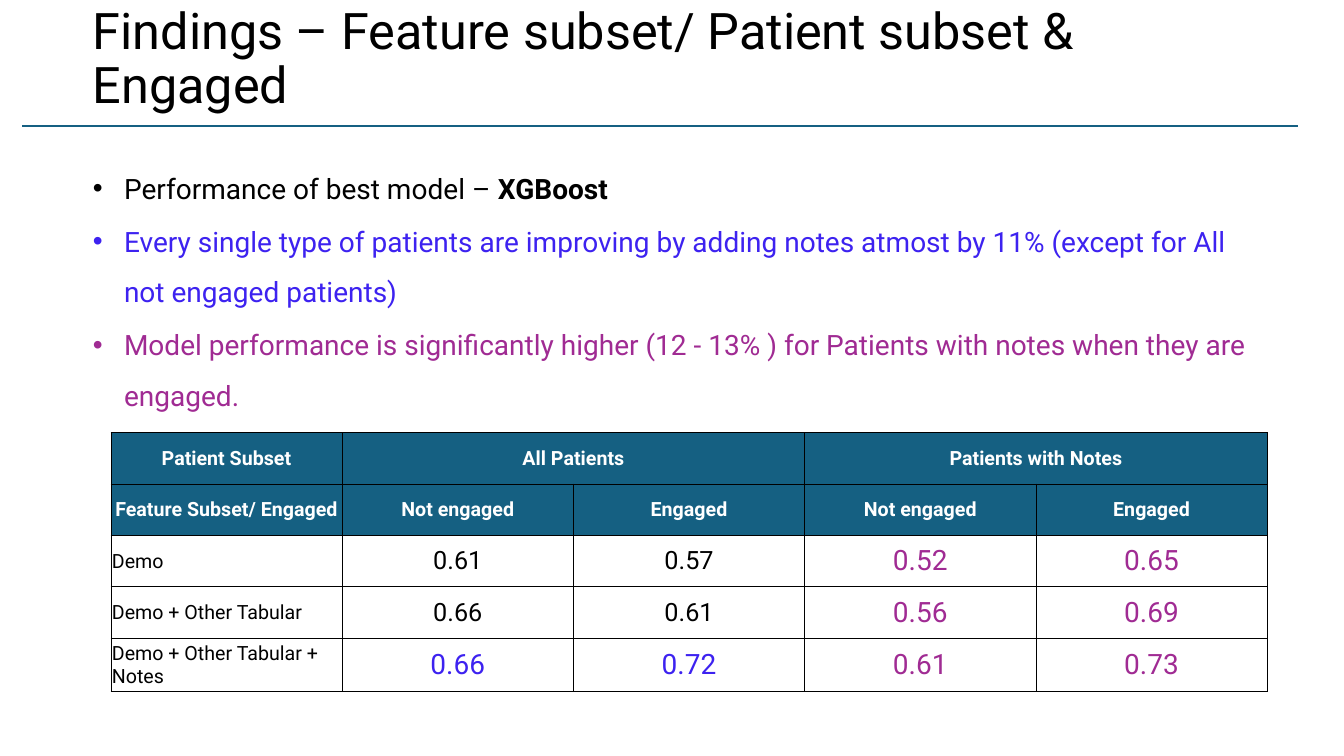
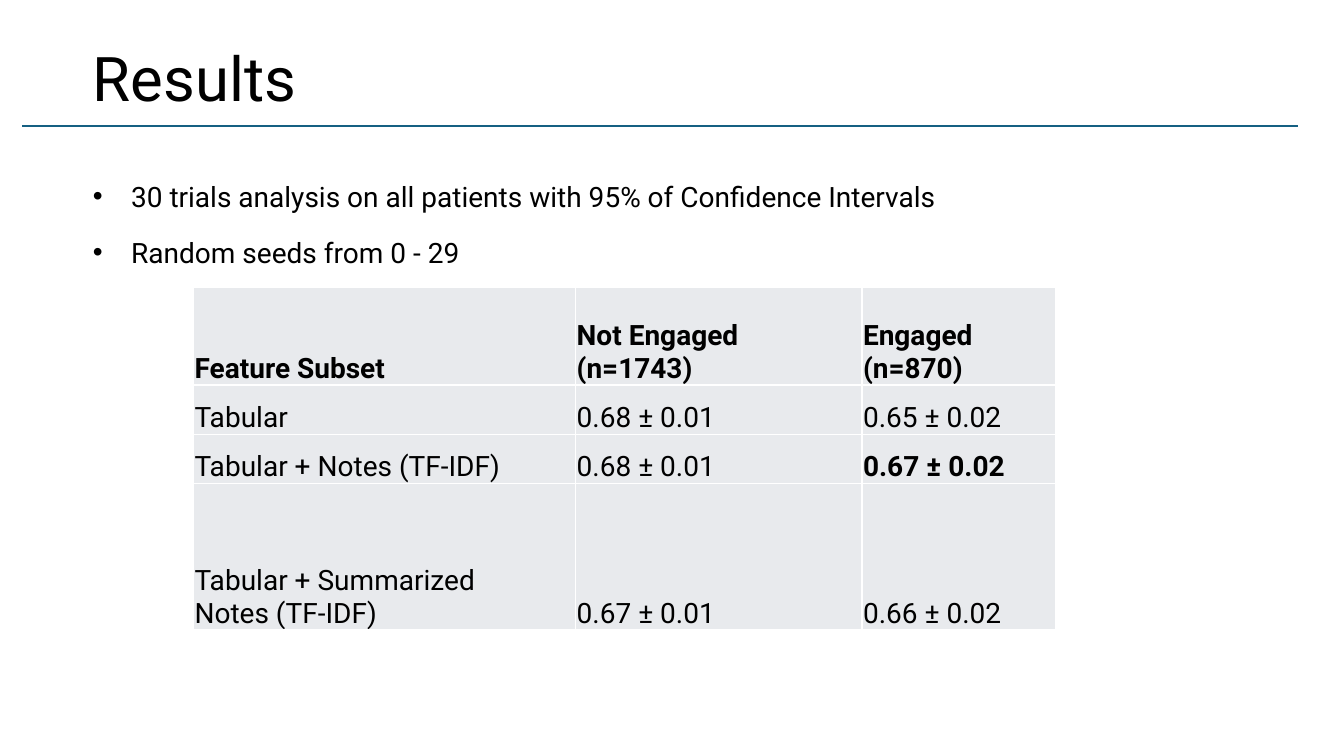
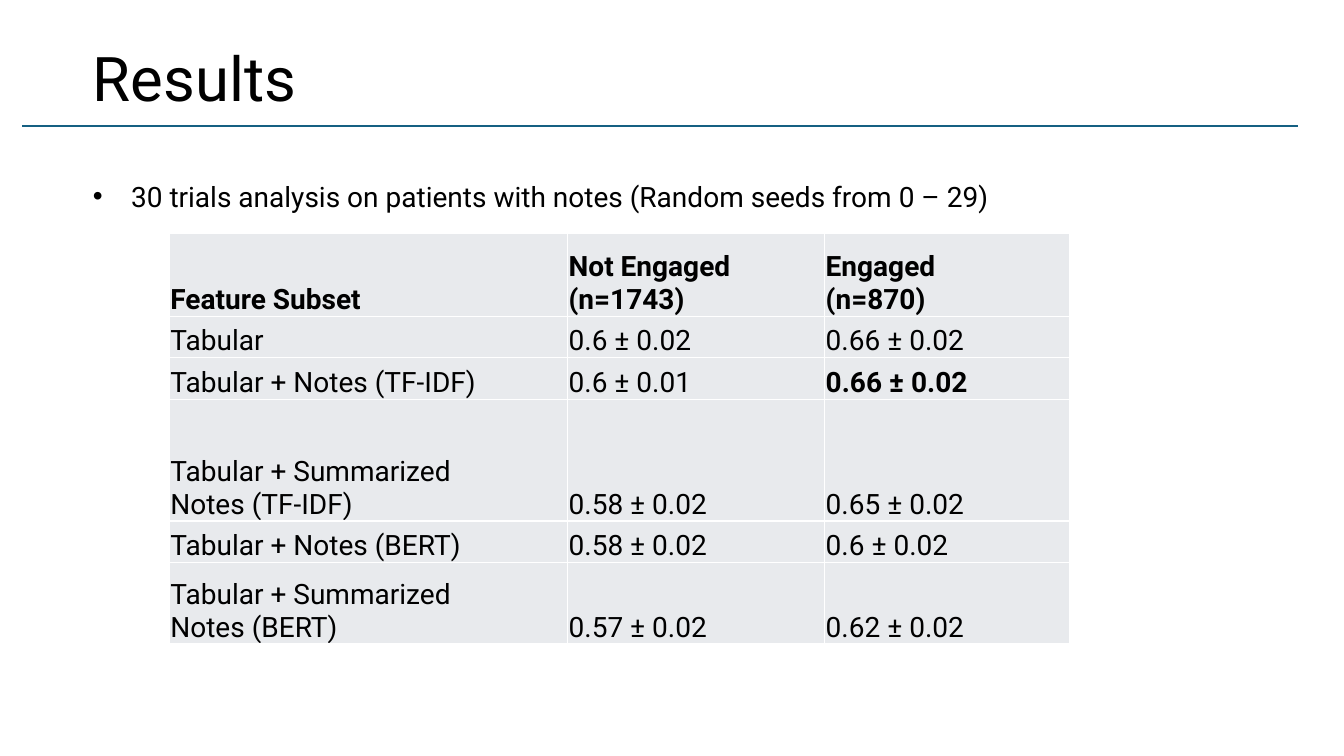
from pptx import Presentation
from pptx.dml.color import RGBColor
from pptx.enum.shapes import MSO_CONNECTOR as Connector
from pptx.enum.text import MSO_ANCHOR as Anchor, MSO_AUTO_SIZE as AutoSize, PP_ALIGN as Align
from pptx.oxml.ns import qn
from pptx.util import Inches, Pt
from lxml.etree import SubElement

FONT = "Roboto"
BLACK, WHITE = "000000", "FFFFFF"
TEAL, GREY = "156082", "E8EAED"
BLUE, PURPLE = "3D22F0", "A02B93"
TITLE_BOX = (0.82, 0.19, 11.25, 1)
RULE_LEFT, RULE_RIGHT, RULE_Y = 0.22, 12.87, 1.25


def rgb(color):
    return RGBColor.from_string(color)


def place(shape, box):
    shape.left, shape.top, shape.width, shape.height = map(Inches, box)


def write(paragraph, text, size=20, color=BLACK, bold=False, align=Align.LEFT):
    """Append text to a paragraph, turning newlines into line breaks."""
    paragraph.alignment = align
    for index, line in enumerate(text.split("\n")):
        if index:
            paragraph.add_line_break()
        run = paragraph.add_run()
        run.text = line
        run.font.name, run.font.size, run.font.bold = FONT, Pt(size), bold
        run.font.color.rgb = rgb(color)


def set_bullet(paragraph, indent):
    properties = paragraph._p.get_or_add_pPr()
    properties.set("marL", str(Inches(indent)))
    properties.set("indent", str(-Inches(indent)))
    SubElement(properties, qn("a:buFont"), typeface="Arial")
    SubElement(properties, qn("a:buChar"), char="•")


def add_titled_slide(deck, title, size=44):
    slide = deck.slides.add_slide(deck.slide_layouts[1])
    heading = slide.shapes.title
    place(heading, TITLE_BOX)
    frame = heading.text_frame
    frame.auto_size, frame.vertical_anchor = AutoSize.NONE, Anchor.BOTTOM
    frame.paragraphs[0].line_spacing = 0.9
    write(frame.paragraphs[0], title, size=size)

    rule = slide.shapes.add_connector(
        Connector.STRAIGHT, Inches(RULE_LEFT), Inches(RULE_Y), Inches(RULE_RIGHT), Inches(RULE_Y))
    rule.line.color.rgb = rgb(TEAL)
    rule.line.width = Pt(1.5)
    SubElement(rule._element.spPr, qn("a:effectLst"))
    return slide


def fill_bullets(slide, box, bullets, indent=0.38, gap=4):
    """Each bullet is a list of (text, format) runs."""
    body = slide.placeholders[1]
    place(body, box)
    frame = body.text_frame
    frame.auto_size, frame.vertical_anchor = AutoSize.NONE, Anchor.TOP
    for index, runs in enumerate(bullets):
        paragraph = frame.add_paragraph() if index else frame.paragraphs[0]
        set_bullet(paragraph, indent)
        paragraph.line_spacing = 1.5
        paragraph.space_before, paragraph.space_after = Pt(0), Pt(gap)
        for text, style in runs:
            write(paragraph, text, **style)


def set_borders(cell, color, width):
    properties = cell._tc.get_or_add_tcPr()
    for side in ("a:lnL", "a:lnR", "a:lnT", "a:lnB"):
        line = SubElement(properties, qn(side), w=str(Pt(width)))
        SubElement(SubElement(line, qn("a:solidFill")), qn("a:srgbClr"), val=color)


def add_grid(slide, left, top, columns, rows, border, border_width):
    """Add a plain bordered table with the given column widths and row heights."""
    frame = slide.shapes.add_table(
        len(rows), len(columns), Inches(left), Inches(top), Inches(sum(columns)), Inches(sum(rows)))
    table = frame.table
    table.first_row = table.horz_banding = False
    for column, width in zip(table.columns, columns):
        column.width = Inches(width)
    for row, height in zip(table.rows, rows):
        row.height = Inches(height)
    for cell in table.iter_cells():
        set_borders(cell, border, border_width)
        cell.margin_left = cell.margin_right = cell.margin_top = Inches(0.01)
        cell.margin_bottom = 0
    return table


def fill_cell(cell, text, fill=None, anchor=Anchor.MIDDLE, **style):
    cell.vertical_anchor = anchor
    if fill:
        cell.fill.solid()
        cell.fill.fore_color.rgb = rgb(fill)
    else:
        cell.fill.background()
    write(cell.text_frame.paragraphs[0], text, **style)


def add_subset_table(slide, left, top, width):
    headers = [
        ["Patient Subset", "All Patients", "", "Patients with Notes", ""],
        ["Feature Subset/ Engaged", "Not engaged", "Engaged", "Not engaged", "Engaged"],
    ]
    scores = [
        ["Demo", "0.61", "0.57", "0.52", "0.65"],
        ["Demo + Other Tabular", "0.66", "0.61", "0.56", "0.69"],
        ["Demo + Other Tabular + Notes", "0.66", "0.72", "0.61", "0.73"],
    ]
    table = add_grid(slide, left, top, [width / 5] * 5, [0.51] * 4 + [0.53], BLACK, 0.5)
    for first in (1, 3):
        table.cell(0, first).merge(table.cell(0, first + 1))
    for r, labels in enumerate(headers):
        for c, label in enumerate(labels):
            if label:
                fill_cell(table.cell(r, c), label, fill=TEAL, size=14, color=WHITE,
                          bold=True, align=Align.CENTER)
    for r, (feature, *values) in enumerate(scores, start=len(headers)):
        fill_cell(table.cell(r, 0), feature, size=14)
        for c, value in enumerate(values, start=1):
            if c > 2:
                style = dict(size=20, color=PURPLE)
            elif r == len(headers) + len(scores) - 1:
                style = dict(size=20, color=BLUE)
            else:
                style = dict(size=18)
            fill_cell(table.cell(r, c), value, align=Align.CENTER, **style)


def add_trials_table(slide, left, top, columns, rows, results, best):
    """Fill a grey table; best is the (row, column) of the bold score."""
    table = add_grid(slide, left, top, columns, rows, WHITE, 1)
    header = ["Feature Subset", "Not Engaged\n(n=1743)", "Engaged\n(n=870)"]
    for r, texts in enumerate([header] + results):
        for c, text in enumerate(texts):
            fill_cell(table.cell(r, c), text, fill=GREY, anchor=Anchor.BOTTOM,
                      bold=r == 0 or (r, c) == best)


def build_findings(deck):
    slide = add_titled_slide(deck, "Findings – Feature subset/ Patient subset & Engaged", size=36)
    fill_bullets(slide, (0.82, 1.48, 11.91, 2.63), [
        [("Performance of best model – ", {}), ("XGBoost", dict(bold=True))],
        [("Every single type of patients are improving by adding notes atmost by 11% "
          "(except for All not engaged patients)", dict(color=BLUE))],
        [("Model performance is significantly higher (12 - 13% ) for Patients with notes "
          "when they are engaged.", dict(color=PURPLE))],
    ], indent=0.31, gap=2)
    add_subset_table(slide, 1.1, 4.29, 11.47)


def build_all_patients(deck):
    slide = add_titled_slide(deck, "Results")
    fill_bullets(slide, (0.82, 1.56, 10.56, 1.12), [
        [("30 trials analysis on all patients with 95% of Confidence Intervals", {})],
        [("Random seeds from 0 - 29", {})],
    ])
    add_trials_table(slide, 1.92, 2.85, [3.79, 2.84, 1.92], [0.97, 0.49, 0.49, 1.45], [
        ["Tabular", "0.68 ± 0.01", "0.65 ± 0.02"],
        ["Tabular + Notes (TF-IDF)", "0.68 ± 0.01", "0.67 ± 0.02"],
        ["Tabular + Summarized\nNotes (TF-IDF)", "0.67 ± 0.01", "0.66 ± 0.02"],
    ], best=(2, 2))


def build_patients_with_notes(deck):
    slide = add_titled_slide(deck, "Results")
    fill_bullets(slide, (0.82, 1.56, 10.56, 0.56), [
        [("30 trials analysis on patients with notes (Random seeds from 0 – 29)", {})],
    ])
    add_trials_table(slide, 1.68, 2.32, [3.95, 2.55, 2.43], [0.82, 0.41, 0.41, 1.21, 0.41, 0.81], [
        ["Tabular", "0.6 ± 0.02", "0.66 ± 0.02"],
        ["Tabular + Notes (TF-IDF)", "0.6 ± 0.01", "0.66 ± 0.02"],
        ["Tabular + Summarized\nNotes (TF-IDF)", "0.58 ± 0.02", "0.65 ± 0.02"],
        ["Tabular + Notes (BERT)", "0.58 ± 0.02", "0.6 ± 0.02"],
        ["Tabular + Summarized\nNotes (BERT)", "0.57 ± 0.02", "0.62 ± 0.02"],
    ], best=(2, 2))


def main():
    deck = Presentation()
    deck.slide_width, deck.slide_height = Inches(13.33), Inches(7.5)
    build_findings(deck)
    build_all_patients(deck)
    build_patients_with_notes(deck)
    deck.save("out.pptx")


if __name__ == "__main__":
    main()
